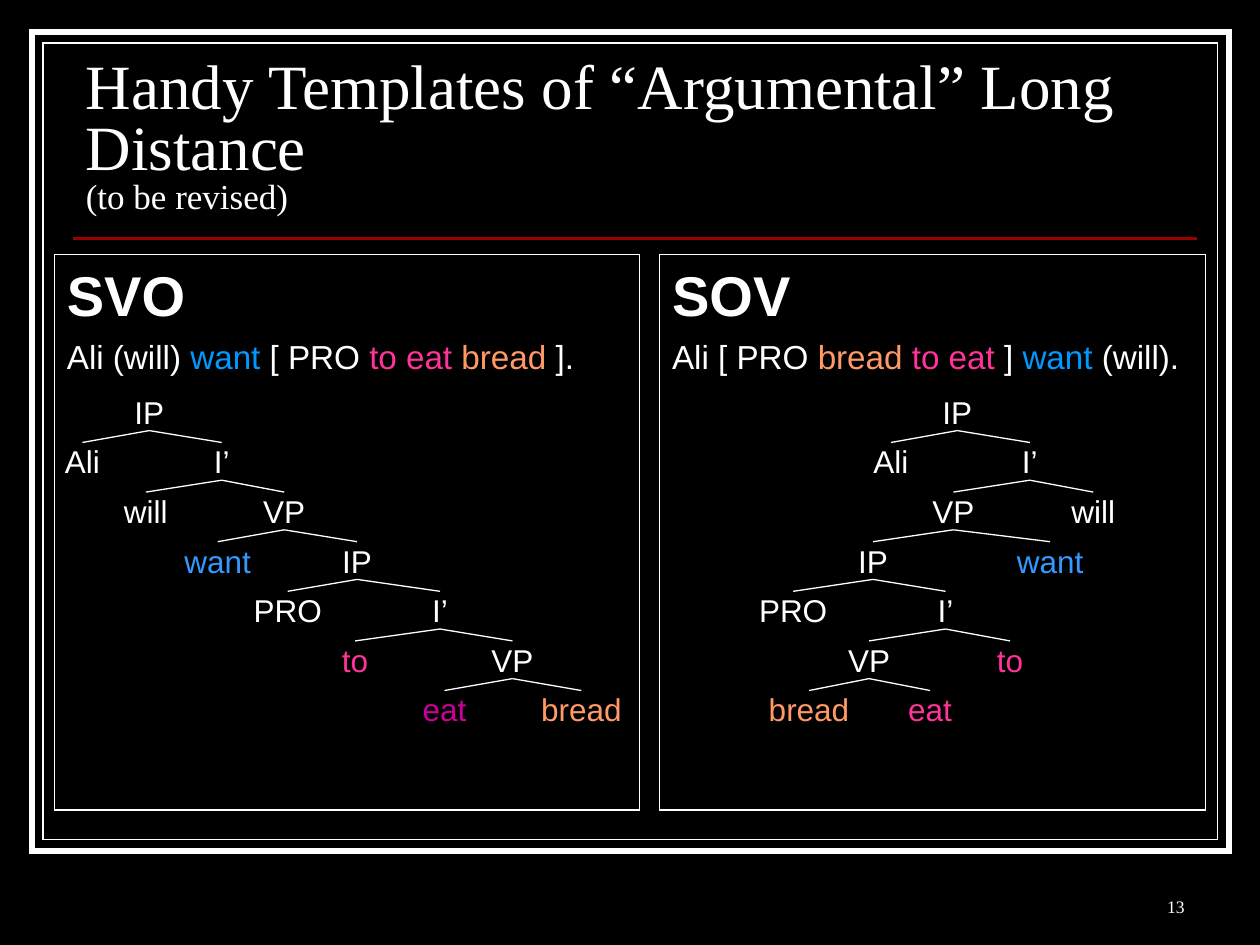
from pptx import Presentation
from pptx.dml.color import RGBColor
from pptx.enum.shapes import MSO_CONNECTOR, MSO_SHAPE
from pptx.enum.text import MSO_ANCHOR, MSO_AUTO_SIZE, PP_ALIGN
from pptx.oxml.ns import qn
from pptx.util import Cm, Pt
from lxml.etree import SubElement

BLACK = RGBColor(0x00, 0x00, 0x00)
WHITE = RGBColor(0xFF, 0xFF, 0xFF)
RED = RGBColor(0x99, 0x00, 0x00)
SKY = RGBColor(0x00, 0x99, 0xFF)
BLUE = RGBColor(0x33, 0x99, 0xFF)
PINK = RGBColor(0xFF, 0x33, 0x99)
PURPLE = RGBColor(0xCC, 0x00, 0x99)
ORANGE = RGBColor(0xFF, 0x99, 0x66)

SERIF, SANS = "Times New Roman", "Arial"
PHRASES = ("IP", "I’", "VP")
WIDTHS = {"IP": 0.65, "I’": 0.4, "VP": 0.95, "Ali": 0.8, "will": 0.95,
          "want": 1.45, "PRO": 1.5, "to": 0.6, "eat": 0.95, "bread": 1.7}
STEP, HEIGHT = 1.0, 0.76  # tree row pitch and label height

# Each tree row: (label, centre from panel's left edge, colour)
SVO_TREE = [
    [("IP", 1.91, WHITE)],
    [("Ali", 0.56, WHITE), ("I’", 3.37, WHITE)],
    [("will", 1.84, WHITE), ("VP", 4.63, WHITE)],
    [("want", 3.29, BLUE), ("IP", 6.1, WHITE)],
    [("PRO", 4.7, WHITE), ("I’", 7.77, WHITE)],
    [("to", 6.06, PINK), ("VP", 9.23, WHITE)],
    [("eat", 7.86, PURPLE), ("bread", 10.62, ORANGE)],
]
SOV_TREE = [
    [("IP", 6.0, WHITE)],
    [("Ali", 4.66, WHITE), ("I’", 7.46, WHITE)],
    [("VP", 5.92, WHITE), ("will", 8.74, WHITE)],
    [("IP", 4.3, WHITE), ("want", 7.87, BLUE)],
    [("PRO", 2.69, WHITE), ("I’", 5.76, WHITE)],
    [("VP", 4.22, WHITE), ("to", 7.06, PINK)],
    [("bread", 3.01, ORANGE), ("eat", 5.45, PINK)],
]
SVO_TEXT = [("Ali (will) ", WHITE), ("want", SKY), (" [ PRO ", WHITE),
            ("to eat ", PINK), ("bread ", ORANGE), ("].", WHITE)]
SOV_TEXT = [("Ali [ PRO ", WHITE), ("bread ", ORANGE), ("to eat ", PINK),
            ("] ", WHITE), ("want ", SKY), ("(will).", WHITE)]


def style(run, size, face, color=WHITE, bold=False):
    font = run.font
    font.size, font.name, font.bold = Pt(size), face, bold
    font.color.rgb = color


def add_rect(slide, x, y, w, h, weight):
    rect = slide.shapes.add_shape(MSO_SHAPE.RECTANGLE, Cm(x), Cm(y), Cm(w), Cm(h))
    rect.shadow.inherit = False
    rect.fill.solid()
    rect.fill.fore_color.rgb = BLACK
    rect.line.color.rgb = WHITE
    rect.line.width = Pt(weight)
    # Square corners
    SubElement(rect._element.spPr.find(qn("a:ln")), qn("a:miter"), lim="800000")
    return rect


def add_text(slide, x, y, w, h, text, anchor):
    box = slide.shapes.add_textbox(Cm(x), Cm(y), Cm(w), Cm(h))
    frame = box.text_frame
    frame.text = text
    frame.word_wrap = True
    frame.vertical_anchor = anchor
    return box


def add_line(slide, x1, y1, x2, y2, color, weight):
    line = slide.shapes.add_connector(
        MSO_CONNECTOR.STRAIGHT, Cm(x1), Cm(y1), Cm(x2), Cm(y2))
    line.line.color.rgb = color
    line.line.width = Pt(weight)
    SubElement(line._element.spPr, qn("a:effectLst"))
    return line


def add_frame(slide, x, y, w, h):
    gap = 0.23
    add_rect(slide, x, y, w, h, 3.5)
    add_rect(slide, x + gap, y + gap, w - 2 * gap, h - 2 * gap, 0.75)


def add_title(slide, x, y, w, h):
    add_line(slide, x, y + h + 0.33, x + w, y + h + 0.33, RED, 1.5)
    box = add_text(slide, x, y, w, h,
                   "Handy Templates of “Argumental” Long Distance \v(to be revised)",
                   MSO_ANCHOR.BOTTOM)
    para = box.text_frame.paragraphs[0]
    para.line_spacing = 0.8
    for run, size in zip(para.runs, (36, 20)):
        style(run, size, SERIF)


def add_node(slide, x, y, label, color):
    w = WIDTHS[label]
    node = add_text(slide, x - w / 2, y, w, HEIGHT, label, MSO_ANCHOR.MIDDLE)
    frame = node.text_frame
    frame.word_wrap = False
    frame.auto_size = MSO_AUTO_SIZE.SHAPE_TO_FIT_TEXT
    frame.margin_left = frame.margin_right = 0
    frame.margin_top = frame.margin_bottom = 0
    para = frame.paragraphs[0]
    para.alignment = PP_ALIGN.CENTER
    style(para.runs[0], 18, SANS, color)
    return node


def add_tree(slide, x, y, rows):
    parent = None
    for i, row in enumerate(rows):
        head = None
        for label, mid, color in row:
            node = add_node(slide, x + mid, y + i * STEP, label, color)
            if parent:
                branch = add_line(slide, 0, 0, 1, 1, WHITE, 0.75)
                branch.begin_connect(parent, 2)
                branch.end_connect(node, 0)
            if label in PHRASES:
                head = node
        parent = head


def add_panel(slide, x, y, w, h, head, parts, rows):
    # Heading and coloured example sentence
    frame = add_rect(slide, x, y, w, h, 0.75).text_frame
    frame.text = head
    frame.word_wrap = True
    frame.vertical_anchor = MSO_ANCHOR.TOP
    first, para = frame.paragraphs[0], frame.add_paragraph()
    first.alignment = para.alignment = PP_ALIGN.LEFT
    style(first.runs[0], 32, SANS, bold=True)
    para.space_before = Pt(4.8)
    for text, color in parts:
        run = para.add_run()
        run.text = text
        style(run, 19, SANS, color)
    # Syntax tree
    add_tree(slide, x, y + 2.79, rows)


def add_number(slide, x, y, w, h):
    box = add_text(slide, x, y, w, h, "13", MSO_ANCHOR.BOTTOM)
    para = box.text_frame.paragraphs[0]
    para.alignment = PP_ALIGN.RIGHT
    style(para.runs[0], 10, SERIF)


def main():
    deck = Presentation()
    deck.slide_width, deck.slide_height = Cm(25.4), Cm(19.05)
    slide = deck.slides.add_slide(deck.slide_layouts[6])
    slide.background.fill.solid()
    slide.background.fill.fore_color.rgb = BLACK

    add_frame(slide, 0.64, 0.64, 24.13, 16.51)
    add_title(slide, 1.48, 1.3, 22.65, 3.18)
    add_panel(slide, 1.1, 5.13, 11.8, 11.2, "SVO", SVO_TEXT, SVO_TREE)
    add_panel(slide, 13.3, 5.13, 11.0, 11.2, "SOV", SOV_TEXT, SOV_TREE)
    add_number(slide, 18.85, 17.35, 5.28, 1.27)
    deck.save("out.pptx")


if __name__ == "__main__":
    main()
